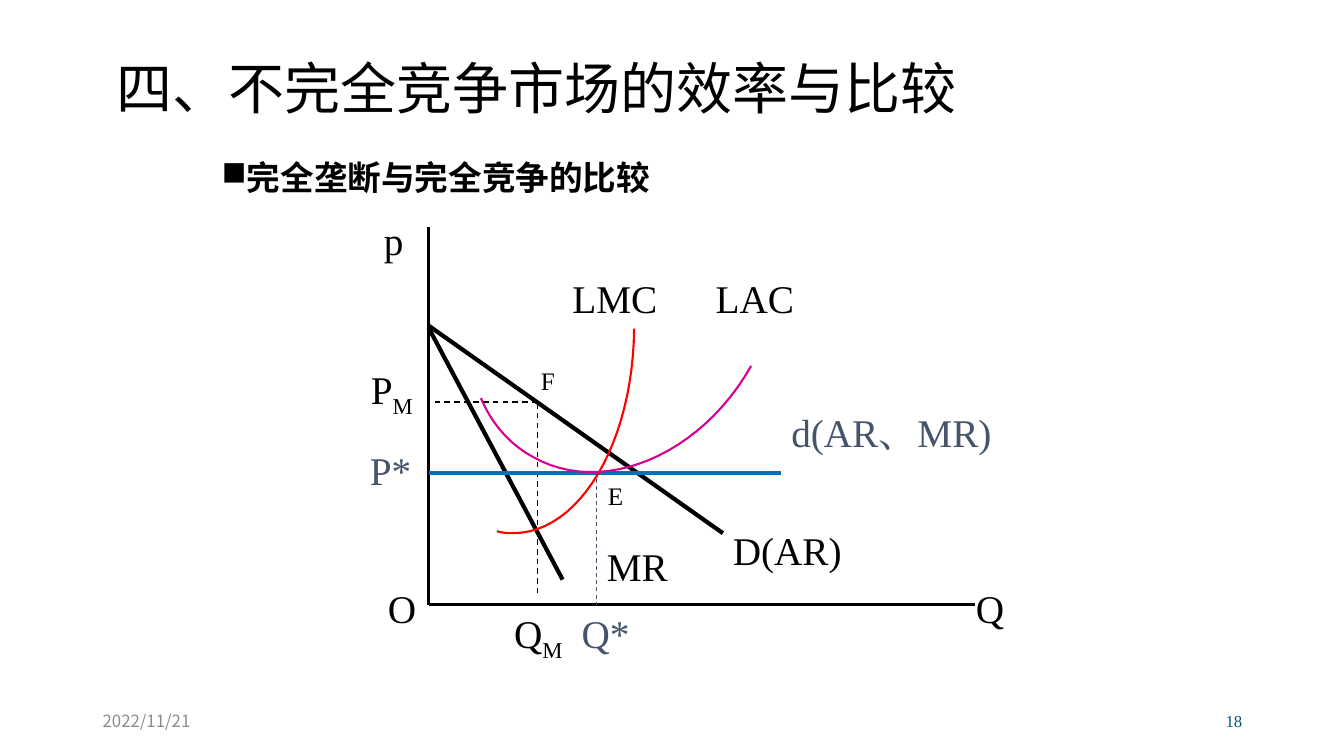
from pptx import Presentation
from pptx.dml.color import RGBColor as RGB
from pptx.enum.dml import MSO_LINE as Dash
from pptx.enum.shapes import MSO_CONNECTOR as Link
from pptx.enum.text import MSO_ANCHOR as Anchor, PP_ALIGN as Align
from pptx.oxml.ns import qn
from pptx.util import Inches, Pt
from lxml.etree import SubElement as sub

SANS, SERIF = "Noto Sans CJK SC", "Times New Roman"
BLACK, SLATE, BLUE = "000000", "44546A", "0070C0"
RED, PINK, GREY, TEAL = "FF0000", "D60093", "8C8C8C", "045C75"


def color(code):
    return RGB.from_string(code)


def write(para, text, size=28, font=SERIF, ink=BLACK, bold=False, low=False):
    """Add one run of text with its format."""
    run = para.add_run()
    run.text = text
    run.font.size, run.font.name, run.font.bold = Pt(size), font, bold
    run.font.color.rgb = color(ink)
    props = run.font._element
    sub(props, qn("a:ea")).set("typeface", font)
    if low:
        props.set("baseline", "-25000")


def bezier(start, *parts, steps=24):
    """Sample joined cubic curves as a list of points."""
    points = [start]
    for b, c, d in parts:
        a = points[-1]
        for i in range(1, steps + 1):
            t = i / steps
            u = 1 - t
            points.append(tuple(
                u**3 * p + 3 * u * u * t * q + 3 * u * t * t * r + t**3 * s
                for p, q, r, s in zip(a, b, c, d)))
    return points


class Board:
    def __init__(self, deck):
        self.slide = deck.slides.add_slide(deck.slide_layouts[6])
        self.shapes = self.slide.shapes

    def text(self, box, words, sub_text="", anchor=Anchor.TOP,
             align=Align.LEFT, **style):
        frame = self.shapes.add_textbox(*map(Inches, box)).text_frame
        frame.word_wrap = True
        frame.vertical_anchor = anchor
        para = frame.paragraphs[0]
        para.alignment = align
        write(para, words, **style)
        if sub_text:
            write(para, sub_text, low=True, **style)
        return para

    def bullet(self, para, mark, indent):
        props = para._p.get_or_add_pPr()
        props.set("marL", str(Inches(indent)))
        props.set("indent", str(-Inches(indent)))
        sub(props, qn("a:buChar")).set("char", mark)

    def line(self, start, end, width=2.25, ink=BLACK, dash=False):
        link = self.shapes.add_connector(
            Link.STRAIGHT, *map(Inches, start + end))
        link.line.width = Pt(width)
        link.line.color.rgb = color(ink)
        if dash:
            link.line.dash_style = Dash.DASH
        sub(link._element.spPr, qn("a:effectLst"))

    def curve(self, points, ink, width=1.5):
        first, *rest = [(Inches(x), Inches(y)) for x, y in points]
        form = self.shapes.build_freeform(*first)
        form.add_line_segments(rest, close=False)
        shape = form.convert_to_shape()
        shape.shadow.inherit = False
        shape.fill.background()
        shape.line.width = Pt(width)
        shape.line.color.rgb = color(ink)


def main():
    deck = Presentation()
    deck.slide_width, deck.slide_height = Inches(13.33), Inches(7.5)
    board = Board(deck)

    # Heading and point
    head = board.text((1.06, 0.43, 9, 0.95), "四、不完全竞争市场的效率与比较",
                      anchor=Anchor.MIDDLE, size=40, font=SANS)
    point = board.text((2.1, 1.55, 9, 5.31), "完全垄断与完全竞争的比较",
                       size=24, font=SANS, bold=True)
    head.line_spacing = point.line_spacing = 0.9
    point.space_before = Pt(10)
    board.bullet(point, "■", 0.25)

    # Footer
    board.text((0.92, 6.95, 3, 0.4), "2022/11/21", anchor=Anchor.MIDDLE,
               size=12, font=SANS, ink=GREY)
    board.text((9.42, 6.95, 3, 0.4), "18", anchor=Anchor.MIDDLE,
               align=Align.RIGHT, size=12, ink=TEAL)

    # Axes and guides
    left, base = 4.25, 6
    board.line((left, 2.25), (left, base))
    board.line((left, base), (9.67, base))
    board.line((5.33, 4), (5.33, 5.92), 1, dash=True)
    board.line((5.33, 3.99), (left, 3.99), 1, dash=True)

    # Demand and revenue lines
    board.line((left, 3.23), (7.17, 5.29), 3)
    board.line((left, 3.25), (5.58, 5.75), 3)
    board.line((left, 4.69), (7.75, 4.69), 3, BLUE)
    board.line((5.92, 4.68), (5.92, base), 0.75, SLATE, dash=True)

    # Labels: left, top, width, words, subscript, ink
    labels = [
        (3.75, 5.75, 0.67, "O", "", BLACK),
        (9.58, 5.75, 0.67, "Q", "", BLACK),
        (3.71, 2.1, 0.67, "p", "", BLACK),
        (7.17, 5.17, 1.5, "D(AR)", "", BLACK),
        (5.92, 5.33, 1.04, "MR", "", BLACK),
        (7, 2.67, 1.5, "LAC", "", BLACK),
        (5.58, 2.67, 1.5, "LMC", "", BLACK),
        (5, 6, 0.92, "Q", "M", BLACK),
        (3.58, 3.58, 0.92, "P", "M", BLACK),
        (7.75, 4, 2.25, "d(AR、MR)", "", SLATE),
        (5.67, 6, 0.92, "Q*", "", SLATE),
        (3.57, 4.38, 0.67, "P*", "", SLATE),
    ]
    for x, y, wide, words, low, ink in labels:
        board.text((x, y, wide, 0.57), words, low, ink=ink)
    for x, y, name in [(5.77, 4.72, "E"), (5.1, 3.58, "F")]:
        board.text((x, y, 0.67, 0.4), name, align=Align.CENTER, size=18)

    # Cost curves
    board.curve(bezier((4.93, 5.27),
                       ((4.99, 5.29), (5.04, 5.29), (5.09, 5.29)),
                       ((5.75, 5.29), (6.28, 4.39), (6.29, 3.26))), RED)
    board.curve(bezier((7.45, 3.63),
                       ((6.95, 4.52), (5.97, 4.93), (5.28, 4.53)),
                       ((5.06, 4.41), (4.88, 4.21), (4.77, 3.95))), PINK)

    deck.save("out.pptx")


if __name__ == "__main__":
    main()
